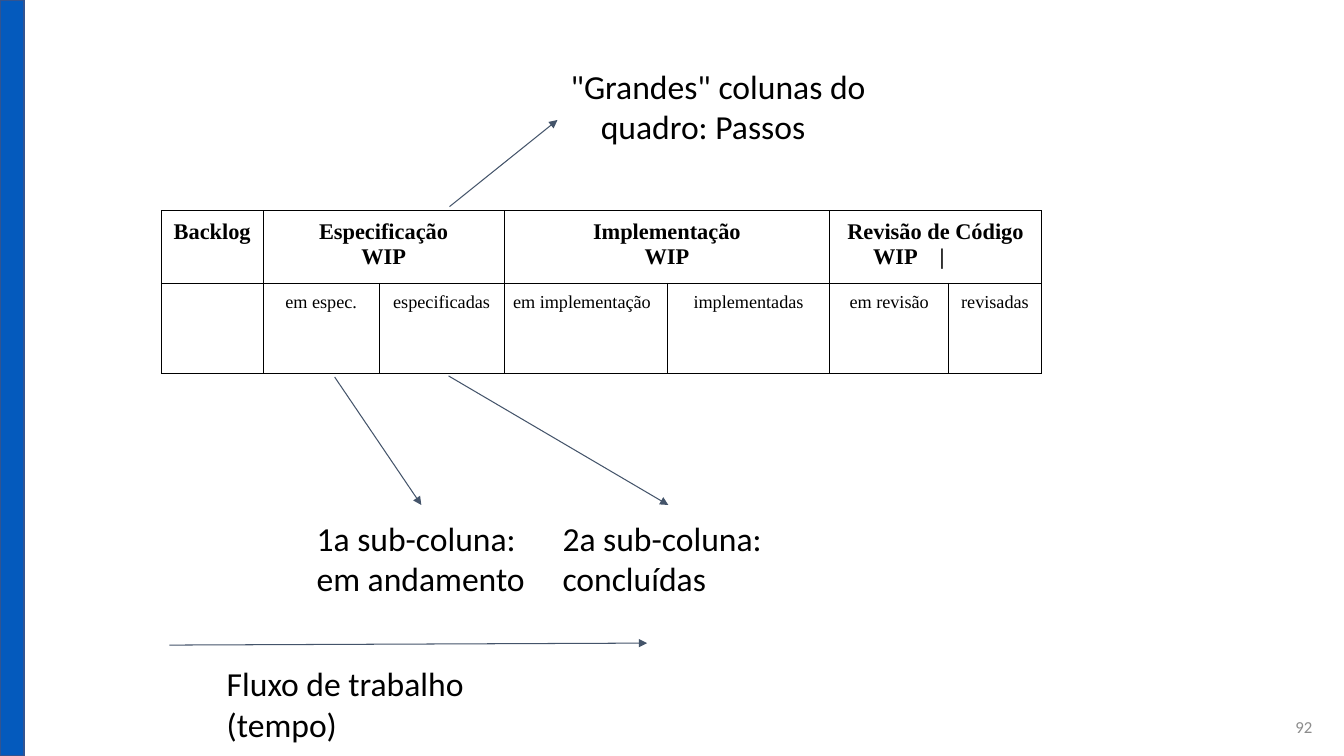
from lxml import etree
from pptx import Presentation
from pptx.dml.color import RGBColor
from pptx.enum.shapes import MSO_CONNECTOR, MSO_SHAPE
from pptx.enum.text import MSO_ANCHOR, PP_ALIGN as Align
from pptx.oxml import parse_xml
from pptx.oxml.ns import nsdecls, qn
from pptx.util import Inches, Pt

COLORS = {
    "bar": "045ABD", "bar_edge": "325491", "arrow": "44546A",
    "text": "000000", "number": "8C8C8C", "cell": "FFFFFF", "border": "000000",
}

presentation = Presentation()
presentation.slide_width, presentation.slide_height = Inches(13.33), Inches(7.5)
slide = presentation.slides.add_slide(presentation.slide_layouts[6])
sides = (presentation.slide_width, presentation.slide_height)


def lengths(*percents):
    """Turn percentages, alternately of slide width and height, into EMU."""
    return [round(sides[i % 2] * percent / 100) for i, percent in enumerate(percents)]


def format_text(text_frame, name, size, color, bold=False, align=Align.LEFT):
    for paragraph in text_frame.paragraphs:
        paragraph.alignment = align
        for run in paragraph.runs:
            run.font.name, run.font.size, run.font.bold = name, Pt(size), bold
            run.font.color.rgb = RGBColor.from_string(COLORS[color])


# Side bar
bar = slide.shapes.add_shape(MSO_SHAPE.RECTANGLE, *lengths(0, 0, 1.8, 100))
bar.shadow.inherit = False
bar.fill.solid()
bar.fill.fore_color.rgb = RGBColor.from_string(COLORS["bar"])
bar.line.color.rgb = RGBColor.from_string(COLORS["bar_edge"])
bar.line.width = Pt(1)

# Kanban board
column_shares = [7.58, 8.63, 9.3, 12.15, 12.08, 8.85, 6.9]
row_shares = [9.6, 12]
steps = ["Backlog", "Especificação\nWIP", "Implementação\nWIP", "Revisão de Código\nWIP\t|"]
substeps = ["", "em espec.", "especificadas", "em implementação",
            "implementadas", "em revisão", "revisadas"]

board = slide.shapes.add_table(
    len(row_shares), len(column_shares),
    *lengths(12, 27.87, sum(column_shares), sum(row_shares))).table
board.first_row = board.horz_banding = False
for column, share in zip(board.columns, column_shares):
    column.width = lengths(share)[0]
for row, share in zip(board.rows, row_shares):
    row.height = lengths(0, share)[1]

for first in (1, 3, 5):
    board.cell(0, first).merge(board.cell(0, first + 1))
for index, step in enumerate(steps):
    board.cell(0, max(0, 2 * index - 1)).text_frame.text = step
for index, substep in enumerate(substeps):
    board.cell(1, index).text_frame.text = substep

for row_index, row in enumerate(board.rows):
    for cell in row.cells:
        cell.margin_left = cell.margin_right = Inches(0.09)
        cell.margin_top = cell.margin_bottom = Inches(0.09)
        properties = cell._tc.get_or_add_tcPr()
        for edge in "RTB" if cell.is_spanned else "LRTB":
            properties.append(parse_xml(
                f'<a:ln{edge} {nsdecls("a")} w="{Pt(0.75)}"><a:solidFill>'
                f'<a:srgbClr val="{COLORS["border"]}"/></a:solidFill></a:ln{edge}>'))
        cell.fill.solid()
        cell.fill.fore_color.rgb = RGBColor.from_string(COLORS["cell"])
        heading = row_index == 0
        format_text(cell.text_frame, "Times New Roman", 16 if heading else 13,
                    "text", heading, Align.CENTER)

board.cell(1, 3).text_frame.paragraphs[0].alignment = Align.LEFT
review_limit = board.cell(0, 5).text_frame.paragraphs[1]
review_limit.alignment = Align.LEFT
review_properties = review_limit._p.get_or_add_pPr()
review_properties.set("marL", "0")
review_properties.set("indent", str(Inches(0.34)))
tab_list = etree.SubElement(review_properties, qn("a:tabLst"))
etree.SubElement(tab_list, qn("a:tab"), pos=str(Inches(1.02)), algn="l")

# Arrows: start and end
arrows = [
    (33.45, 27.33, 41.48, 15.87),
    (24.9, 49.87, 31.35, 66.8),
    (33.38, 49.73, 49.73, 66.8),
    (12.6, 85.33, 48.15, 85.07),
]
for ends in arrows:
    arrow = slide.shapes.add_connector(MSO_CONNECTOR.STRAIGHT, *lengths(*ends))
    arrow.line.color.rgb = RGBColor.from_string(COLORS["arrow"])
    arrow.line.width = Pt(0.75)
    etree.SubElement(arrow.line._get_or_add_ln(), qn("a:tailEnd"), type="triangle")
    etree.SubElement(arrow._element.spPr, qn("a:effectLst"))

# Explanations and slide number: text, place, size, colour, alignment, hanging indent
labels = [
    ('"Grandes" colunas do quadro: Passos', (41.48, 6.93, 24.08, 15.87), 24, "text", Align.LEFT, 0.3),
    ("1a sub-coluna:\nem andamento", (22.58, 66.8, 17.63, 9.47), 24, "text", Align.LEFT, 0),
    ("2a sub-coluna:\nconcluídas", (40.88, 66.8, 17.63, 9.47), 24, "text", Align.LEFT, 0),
    ("Fluxo de trabalho (tempo)", (15.9, 86, 24.98, 9.47), 24, "text", Align.LEFT, 0),
    ("92", (92.63, 92.4, 6, 7.6), 12, "number", Align.RIGHT, 0),
]
for text, place, size, color, align, hanging in labels:
    text_frame = slide.shapes.add_textbox(*lengths(*place)).text_frame
    text_frame.word_wrap = True
    text_frame.margin_left = text_frame.margin_right = Inches(0.13)
    text_frame.margin_top = text_frame.margin_bottom = Inches(0.13)
    text_frame.vertical_anchor = MSO_ANCHOR.MIDDLE if color == "number" else MSO_ANCHOR.TOP
    text_frame.text = text
    format_text(text_frame, "Calibri", size, color, align=align)
    if hanging:
        paragraph_properties = text_frame.paragraphs[0]._p.get_or_add_pPr()
        paragraph_properties.set("marL", str(Inches(hanging)))
        paragraph_properties.set("indent", str(-Inches(hanging)))

presentation.save("out.pptx")
